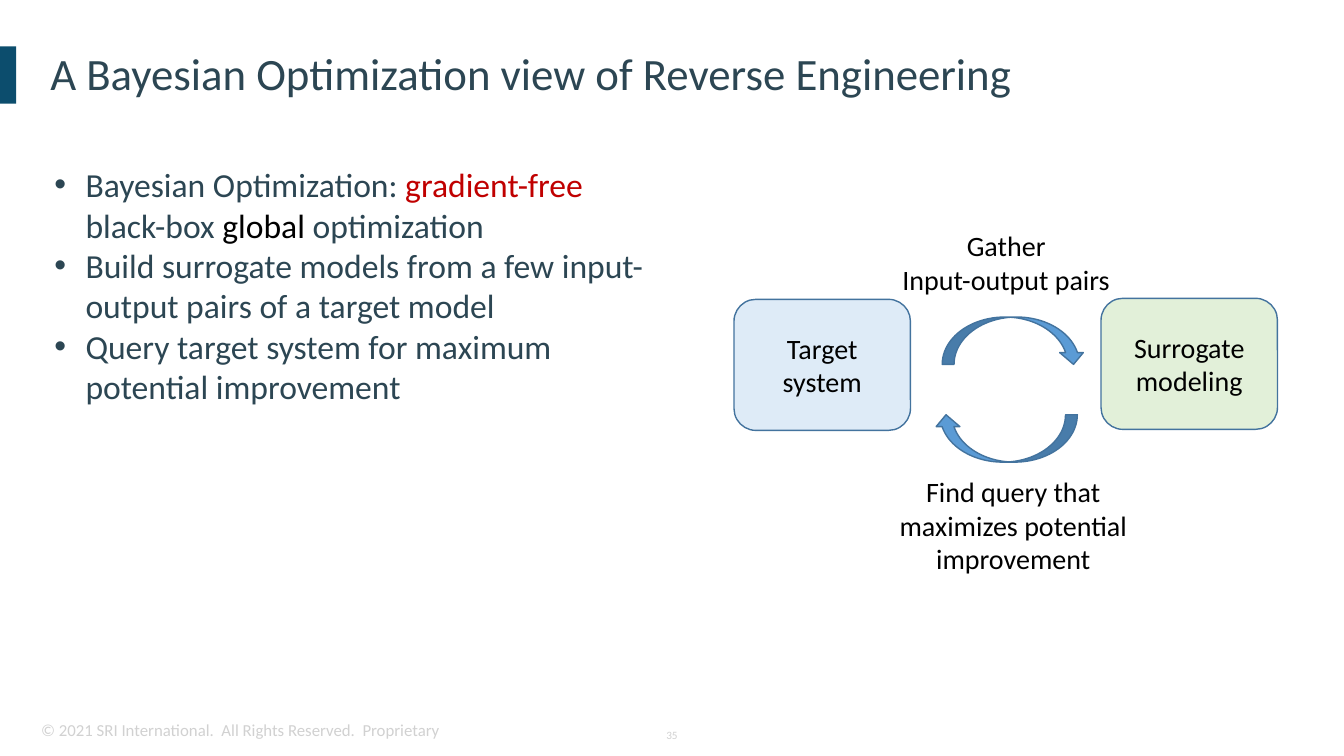
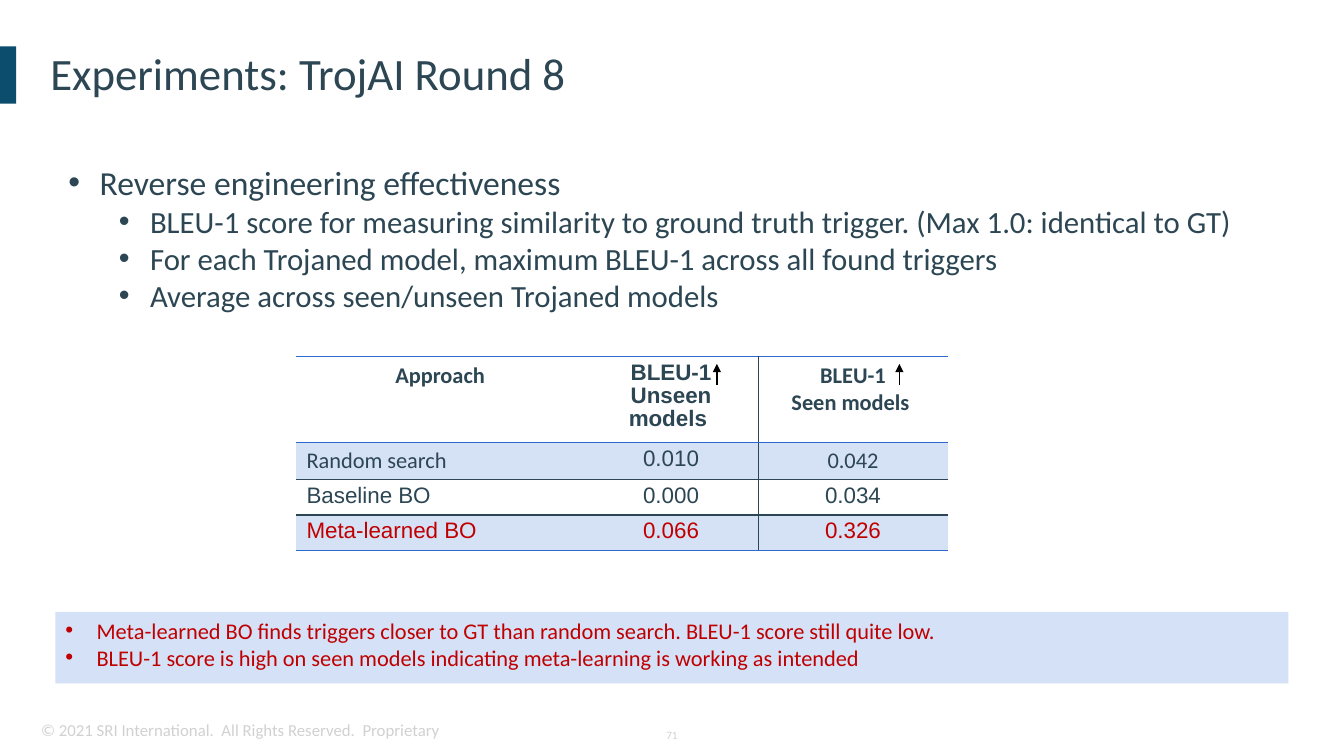
from collections import namedtuple
from dataclasses import dataclass

from lxml.etree import SubElement
from pptx import Presentation
from pptx.dml.color import RGBColor
from pptx.enum.shapes import MSO_CONNECTOR, MSO_SHAPE
from pptx.enum.text import MSO_ANCHOR, PP_ALIGN
from pptx.oxml.ns import qn
from pptx.util import Inches, Pt


@dataclass(frozen=True)
class Theme:
    """Colours, fonts and type sizes of the deck."""
    ink: str = "2C4653"
    band: str = "0C4D6D"
    pale: str = "D1D1D1"
    red: str = "C00000"
    black: str = "000000"
    edge: str = "43739E"
    arrow: str = "5B9BD5"
    sky: str = "DEEBF7"
    leaf: str = "E2F0D9"
    note: str = "D4E1F6"
    rule: str = "2C69CE"
    tint: str = "D5E1F5"
    main: str = "Calibri"
    alt: str = "Arial"
    title: int = 32
    body: int = 24
    sub: int = 22
    label: int = 20
    cell: int = 16
    foot: int = 12
    page: int = 8


T = Theme()
Box = namedtuple("Box", "x y w h")
Run = namedtuple("Run", "text color size font bold")
Para = namedtuple("Para", "runs align space indent")


def run(text, color=T.ink, size=T.body, font=T.main, bold=False):
    """Describe one run of text."""
    return Run(text, color, size, font, bold)


def para(*runs, align=PP_ALIGN.LEFT, space=None, indent=None):
    """Describe one paragraph; an indent gives it a bullet."""
    return Para(runs, align, space, indent)


def inset(box, x, y, w, h):
    """Return a box placed from the corner of another."""
    return Box(box.x + x, box.y + y, w, h)


def span(box):
    """Turn a box into four lengths."""
    return [Inches(v) for v in box]


def hue(color):
    """Turn a hex value into a colour."""
    return RGBColor.from_string(color)


def bullet(item, indent):
    """Give a paragraph a hanging round bullet."""
    props = item._p.get_or_add_pPr()
    props.set("marL", str(Inches(indent)))
    props.set("indent", str(-Inches(0.31)))
    SubElement(props, qn("a:buFont"), typeface=T.alt)
    SubElement(props, qn("a:buChar"), char="•")


def write(frame, paras):
    """Fill a text frame run by run."""
    for i, spec in enumerate(paras):
        item = frame.add_paragraph() if i else frame.paragraphs[0]
        if spec.indent is not None:
            bullet(item, spec.indent)
        item.alignment = spec.align
        if spec.space:
            item.line_spacing = spec.space
        for part in spec.runs:
            piece = item.add_run()
            piece.text = part.text
            font = piece.font
            font.name, font.size, font.bold = part.font, Pt(part.size), part.bold
            font.color.rgb = hue(part.color)


def text(slide, box, paras, anchor=MSO_ANCHOR.TOP, wrap=True):
    """Place a text box."""
    frame = slide.shapes.add_textbox(*span(box)).text_frame
    frame.word_wrap = wrap
    frame.vertical_anchor = anchor
    write(frame, paras)


def shape(slide, kind, box, fill, line=None, paras=(), anchor=MSO_ANCHOR.MIDDLE):
    """Place a flat preset shape with optional text."""
    item = slide.shapes.add_shape(kind, *span(box))
    item.shadow.inherit = False
    item.fill.solid()
    item.fill.fore_color.rgb = hue(fill)
    if line:
        item.line.color.rgb = hue(line)
        item.line.width = Pt(1)
    else:
        item.line.fill.background()
    item.text_frame.word_wrap = True
    item.text_frame.vertical_anchor = anchor
    write(item.text_frame, paras)
    return item


def frame(deck, title, page):
    """Add a slide with the shared band, title and footer."""
    slide = deck.slides.add_slide(deck.slide_layouts[6])
    shape(slide, MSO_SHAPE.RECTANGLE, Box(0, 0.46, 0.16, 0.57), T.band)
    text(slide, Box(0.4, 0.3, 12.52, 0.9),
         [para(run(title, size=T.title), space=0.9)], MSO_ANCHOR.MIDDLE)
    text(slide, Box(0.31, 7.09, 4.2, 0.3),
         [para(run("© 2021 SRI International.  All Rights Reserved.  Proprietary",
                   T.pale, T.foot))], wrap=False)
    text(slide, Box(6.32, 7.13, 0.69, 0.33),
         [para(run(page, T.pale, T.page), align=PP_ALIGN.CENTER)],
         MSO_ANCHOR.MIDDLE)
    return slide


def label(*lines):
    """Make centred black lines for the loop."""
    return [para(run(s, T.black, T.label), align=PP_ALIGN.CENTER) for s in lines]


def loop(slide, box):
    """Draw the query loop between the two systems."""
    for x, y, fill, name in ((0, 0.75, T.sky, "Target system"),
                             (3.64, 0.74, T.leaf, "Surrogate modeling")):
        shape(slide, MSO_SHAPE.ROUNDED_RECTANGLE, inset(box, x, y, 1.75, 1.3),
              fill, T.edge, label(name))
    text(slide, inset(box, 1.5, 0, 2.4, 0.74),
         label("Gather", "Input-output pairs"))
    text(slide, inset(box, 1.5, 2.44, 2.54, 1.07),
         label("Find query that maximizes potential improvement"))
    for x, y, turn in ((2.54, 0.45, 270), (2.46, 1.42, 90)):
        item = shape(slide, MSO_SHAPE.CURVED_LEFT_ARROW,
                     inset(box, x, y, 0.47, 1.42), T.arrow, T.edge)
        item.rotation = turn


def border(cell, sides):
    """Draw the given cell edges ahead of the fill."""
    props = cell._tc.get_or_add_tcPr()
    for i, side in enumerate("LRTB"):
        color = sides.get(side)
        edge = SubElement(props, qn("a:ln" + side), w=str(Pt(1) if color else 0))
        if color:
            fill = SubElement(edge, qn("a:solidFill"))
            SubElement(fill, qn("a:srgbClr"), val=color)
        else:
            SubElement(edge, qn("a:noFill"))
        props.insert(i, edge)


def scores(slide, box):
    """Build the score table with its arrows."""
    rows = (
        (("Approach",), ("BLEU-1", "Unseen models "), ("BLEU-1", "Seen models ")),
        (("Random search",), ("0.010",), ("0.042",)),
        (("Baseline BO",), ("0.000",), ("0.034",)),
        (("Meta-learned BO",), ("0.066",), ("0.326",)),
    )
    plain = {(0, 0), (0, 2), (1, 0), (1, 2)}
    rules = (T.rule, T.rule, T.ink, T.ink, T.rule)
    grid = slide.shapes.add_table(4, 3, *span(box)).table
    grid.first_row = grid.horz_banding = False
    grid._tbl.tblPr.find(qn("a:tableStyleId")).text = (
        "{2D5ABB26-0587-4C30-8999-92F81FD0307C}")
    for col, width in zip(grid.columns, (2.85, 1.73, 1.88)):
        col.width = Inches(width)
    for row, height in zip(grid.rows, (0.85, 0.37, 0.35, 0.35)):
        row.height = Inches(height)
    for r, row in enumerate(rows):
        for c, lines in enumerate(row):
            cell = grid.cell(r, c)
            font = T.main if (r, c) in plain else T.alt
            color = T.red if r == 3 else T.ink
            left = r and not c
            write(cell.text_frame, [
                para(run(s, color, T.cell, font, r == 0),
                     align=PP_ALIGN.LEFT if left else PP_ALIGN.CENTER,
                     space=0.93 if font == T.alt else None)
                for s in lines])
            if r % 2:
                cell.fill.solid()
                cell.fill.fore_color.rgb = hue(T.tint)
            else:
                cell.fill.background()
            sides = {"T": rules[r], "B": rules[r + 1]}
            if c:
                sides["R" if c == 1 else "L"] = T.ink
            border(cell, sides)
    for x in (4.17, 5.98):
        rise(slide, inset(box, x, 0.07, 0, 0.21))


def rise(slide, box):
    """Draw a small upward arrow."""
    x = Inches(box.x)
    item = slide.shapes.add_connector(
        MSO_CONNECTOR.STRAIGHT, x, Inches(box.y + box.h), x, Inches(box.y))
    item.line.color.rgb = hue(T.black)
    item.line.width = Pt(1)
    SubElement(item.line._get_or_add_ln(), qn("a:tailEnd"), type="triangle")
    SubElement(item._element.spPr, qn("a:effectLst"))


def view(deck):
    """Build the slide on Bayesian optimization."""
    slide = frame(deck, "A Bayesian Optimization view of Reverse Engineering", "35")
    lead = (run("Bayesian Optimization: "), run("gradient-free ", T.red),
            run("black-box "), run("global ", T.black), run("optimization"))
    rest = ("Build surrogate models from a few input-output pairs of a target model",
            "Query target system for maximum potential improvement")
    text(slide, Box(0.44, 1.58, 6.3, 3.4),
         [para(*lead, indent=0.31)] + [para(run(s), indent=0.31) for s in rest])
    loop(slide, Box(7.28, 2.22, 5.39, 3.51))


def tests(deck):
    """Build the slide on experiments."""
    slide = frame(deck, "Experiments: TrojAI Round 8", "71")
    points = (
        "BLEU-1 score for measuring similarity to ground truth trigger. "
        "(Max 1.0: identical to GT)",
        "For each Trojaned model, maximum BLEU-1 across all found triggers",
        "Average across seen/unseen Trojaned models",
    )
    text(slide, Box(0.58, 1.56, 12.11, 2.35),
         [para(run("Reverse engineering effectiveness"), indent=0.31)]
         + [para(run(s, size=T.sub), indent=0.81) for s in points])
    notes = (
        "Meta-learned BO finds triggers closer to GT than random search. "
        "BLEU-1 score still quite low.",
        "BLEU-1 score is high on seen models indicating meta-learning "
        "is working as intended",
    )
    shape(slide, MSO_SHAPE.RECTANGLE, Box(0.55, 6.07, 12.23, 0.71), T.note,
          paras=[para(run(s, T.red, T.cell), indent=0.31) for s in notes],
          anchor=MSO_ANCHOR.TOP)
    scores(slide, Box(2.94, 3.54, 6.46, 1.92))


def main():
    """Build and save the deck."""
    deck = Presentation()
    deck.slide_width, deck.slide_height = Inches(13.33), Inches(7.5)
    view(deck)
    tests(deck)
    deck.save("out.pptx")


if __name__ == "__main__":
    main()
